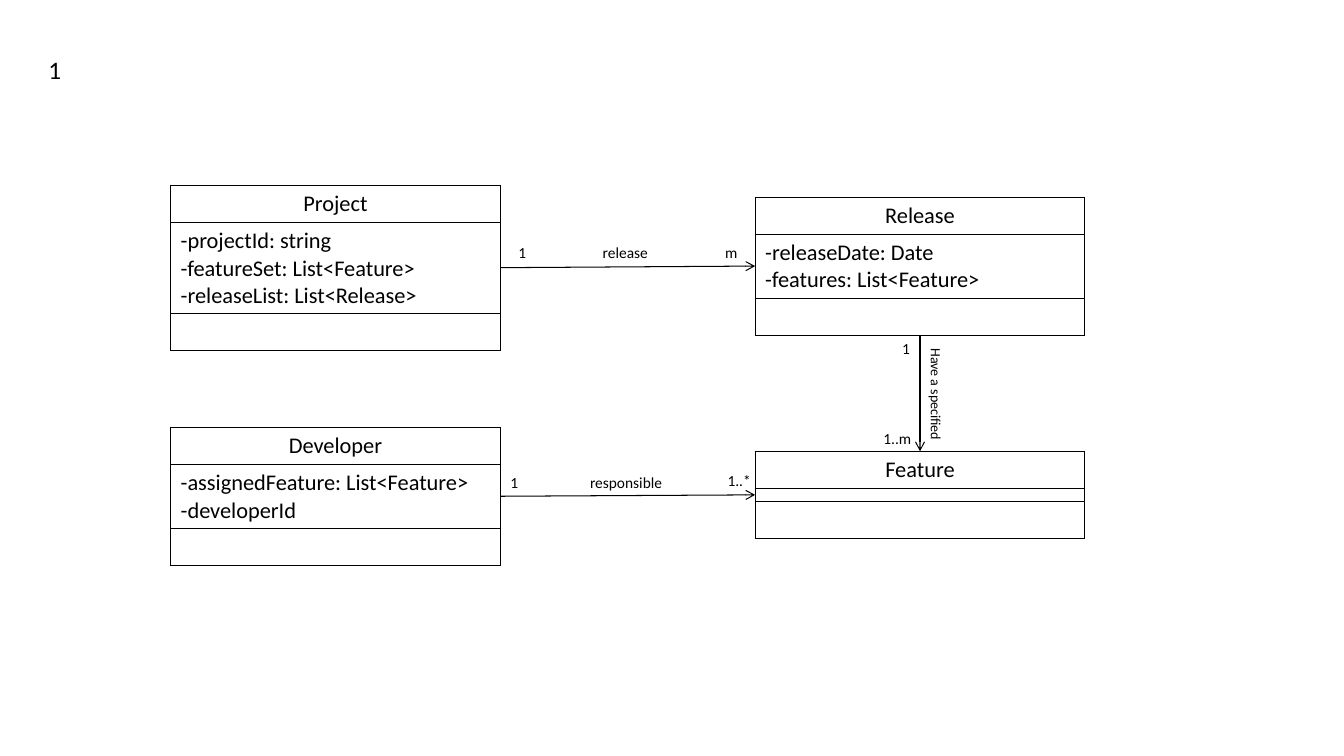
from lxml import etree
from pptx import Presentation
from pptx.dml.color import RGBColor
from pptx.enum.shapes import MSO_CONNECTOR
from pptx.enum.text import PP_ALIGN
from pptx.oxml.ns import qn
from pptx.util import Cm, Pt

FONT, INK = "Calibri", "000000"
WIDE, ROW = 8.31, 0.93  # class width, title and method row height


def paint(code):
    return RGBColor.from_string(code)


def style(par, size, align=PP_ALIGN.LEFT):
    par.alignment = align
    par.font.size = Pt(size)
    par.font.name = FONT
    par.font.color.rgb = paint(INK)
    if not par.runs:  # an empty line keeps its height here
        etree.SubElement(par._p, qn("a:endParaRPr"), sz=str(size * 100))


def frame(cell):
    # Black border on all four sides, no fill
    props = cell._tc.get_or_add_tcPr()
    for side in "LRTB":
        line = etree.SubElement(props, qn("a:ln" + side), w=str(Pt(1)))
        fill = etree.SubElement(line, qn("a:solidFill"))
        etree.SubElement(fill, qn("a:srgbClr"), val=INK)
    cell.fill.background()


def add_class(slide, left, top, name, fields):
    """Draw a UML class and return its box as left, top, width, height."""
    body = max(0.34, 0.25 + 0.68 * len(fields))
    high = 2 * ROW + body
    table = slide.shapes.add_table(
        3, 1, Cm(left), Cm(top), Cm(WIDE), Cm(high)).table
    table.first_row = table.horz_banding = False
    texts = (name, "\n".join(fields), "")
    for i, (text, tall) in enumerate(zip(texts, (ROW, body, ROW))):
        table.rows[i].height = Cm(tall)
        cell = table.cell(i, 0)
        frame(cell)
        cell.text = text
        size = 2 if i == 1 and not fields else 16
        align = PP_ALIGN.LEFT if i else PP_ALIGN.CENTER
        for par in cell.text_frame.paragraphs:
            style(par, size, align)
    return left, top, WIDE, high


def add_label(slide, x, y, text, size=11, wide=1.6, turn=0):
    """Write a one-line label centred on x, y."""
    high = 0.25 + size * 0.045
    box = slide.shapes.add_textbox(
        Cm(x - wide / 2), Cm(y - high / 2), Cm(wide), Cm(high))
    box.rotation = turn
    box.text_frame.word_wrap = False
    box.text_frame.text = text
    style(box.text_frame.paragraphs[0], size, PP_ALIGN.CENTER)


def add_link(slide, start, end, labels):
    """Draw an arrow with labels placed relative to its start."""
    line = slide.shapes.add_connector(
        MSO_CONNECTOR.STRAIGHT, *map(Cm, start + end))
    line.line.color.rgb = paint(INK)
    line.line.width = Pt(0.75)
    etree.SubElement(line.line._get_or_add_ln(), qn("a:tailEnd"), type="arrow")
    etree.SubElement(line._element.spPr, qn("a:effectLst"))
    for dx, dy, text, *more in labels:
        add_label(slide, start[0] + dx, start[1] + dy, text, *more)


def right(box):
    return box[0] + box[2], box[1] + box[3] / 2


def left(box):
    return box[0], box[1] + box[3] / 2


def base(box):
    return box[0] + box[2] / 2, box[1] + box[3]


def head(box):
    return box[0] + box[2] / 2, box[1]


def add_model(slide, x, y):
    """Draw the class diagram with its top left corner at x, y."""
    # Classes
    far = x + 14.73
    project = add_class(slide, x, y, "Project", [
        "-projectId: string",
        "-featureSet: List<Feature>",
        "-releaseList: List<Release>"])
    maker = add_class(slide, x, y + 6.1, "Developer", [
        "-assignedFeature: List<Feature>", "-developerId"])
    release = add_class(slide, far, y + 0.3, "Release", [
        "-releaseDate: Date", "-features: List<Feature>"])
    feature = add_class(slide, far, y + 6.7, "Feature", [])
    # Associations
    add_link(slide, right(project), left(release), [
        (0.55, -0.38, "1"), (3.15, -0.38, "release", 11, 2),
        (5.82, -0.38, "m")])
    add_link(slide, right(maker), left(feature), [
        (0.35, -0.34, "1"), (3.17, -0.34, "responsible", 11, 2.8),
        (6.02, -0.38, "1..*")])
    add_link(slide, base(release), head(feature), [
        (-0.35, 0.35, "1"), (-0.57, 2.62, "1..m"),
        (0.4, 1.5, "Have a specified", 10, 3.2, 90)])


def main():
    deck = Presentation()
    deck.slide_width, deck.slide_height = Cm(33.87), Cm(19.05)
    slide = deck.slides.add_slide(deck.slide_layouts[6])
    # Exercise number
    add_label(slide, 1.38, 1.78, "1", 18)
    add_model(slide, 4.3, 4.67)
    deck.save("out.pptx")


if __name__ == "__main__":
    main()
